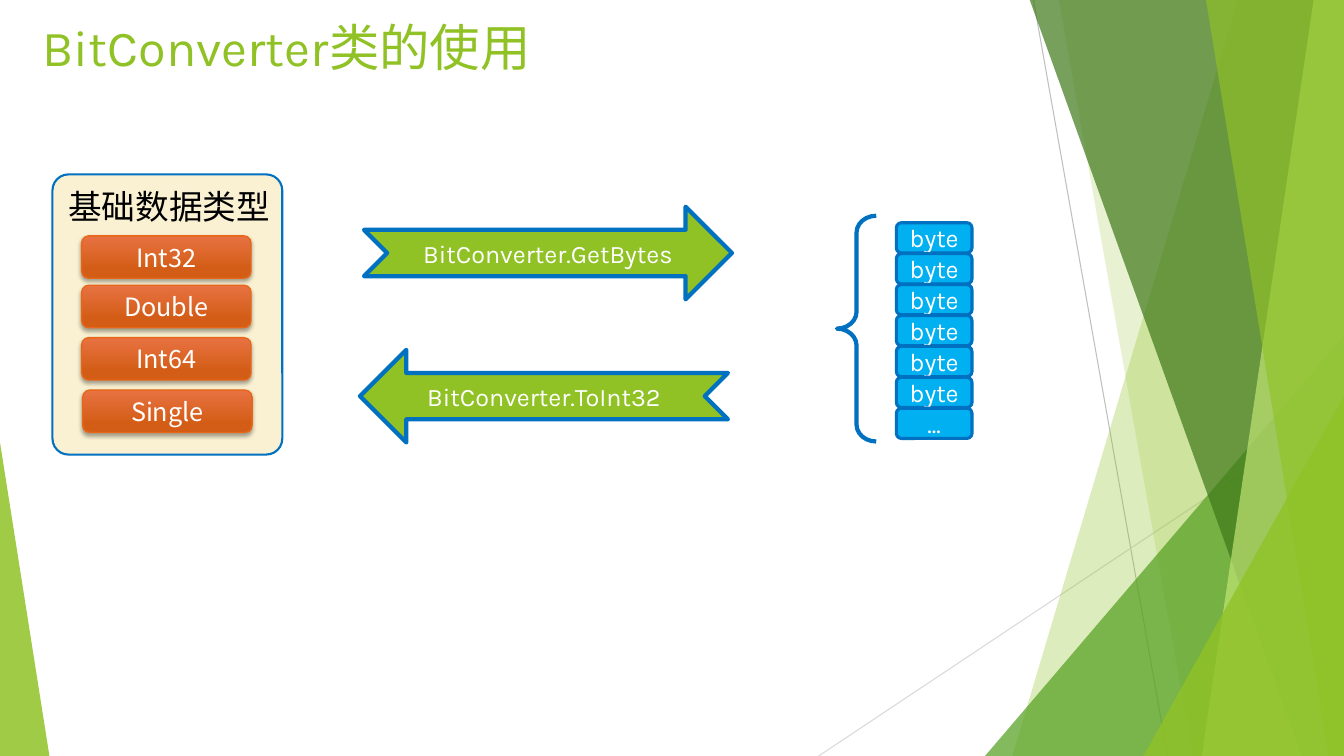
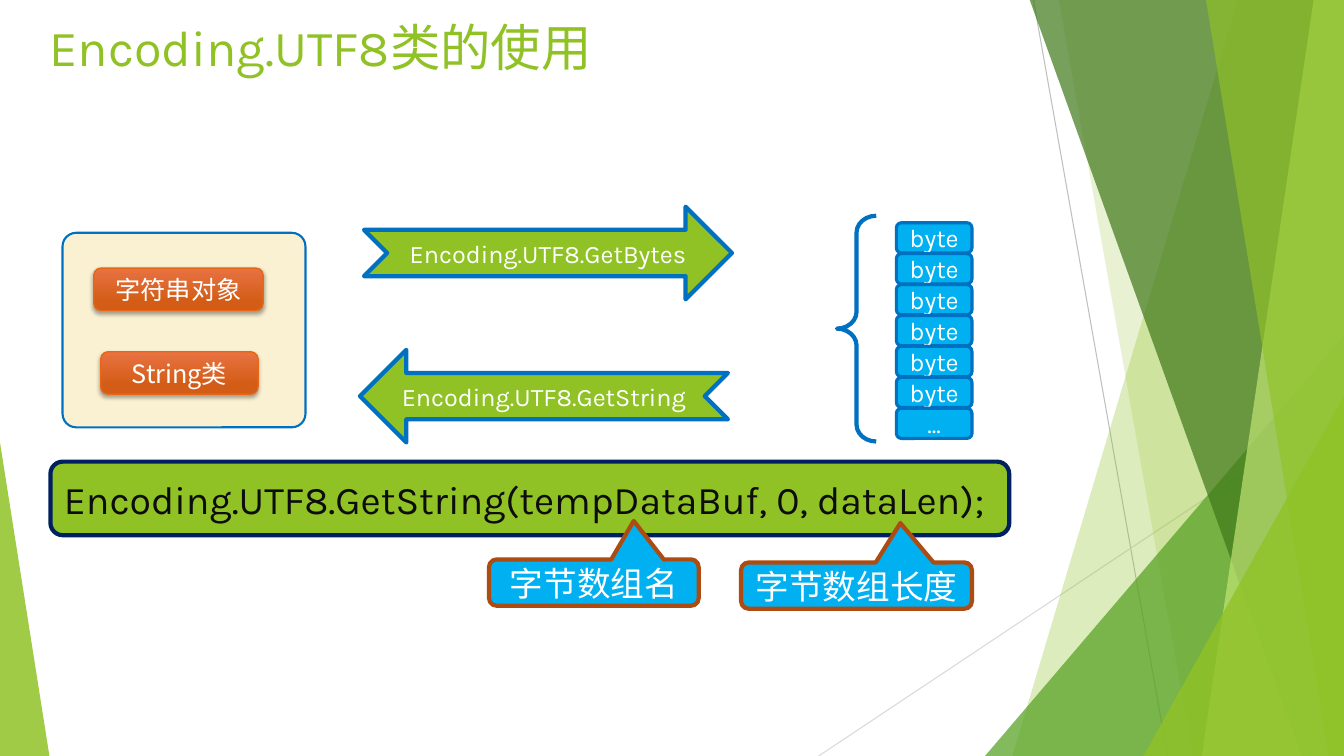
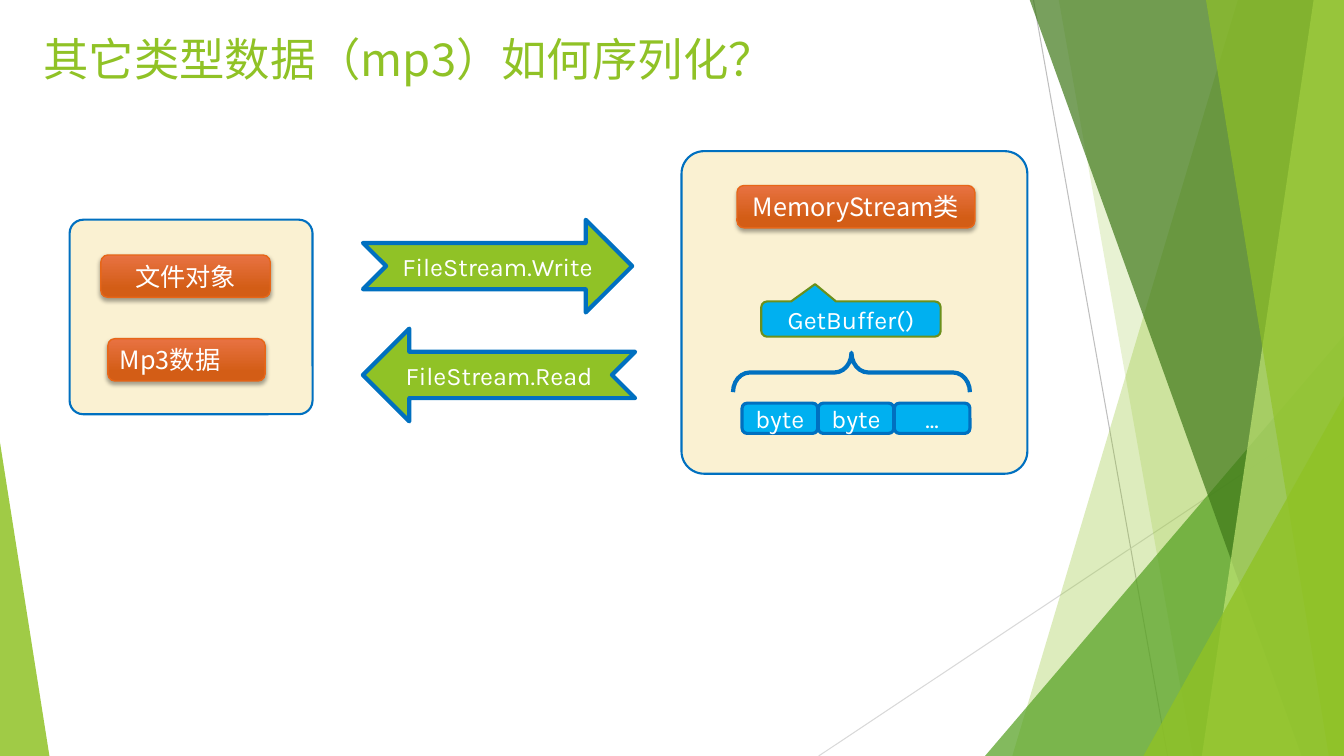
"""Build three slides on turning data types into bytes and back."""
from dataclasses import dataclass
from typing import Optional

from lxml import etree
from pptx import Presentation
from pptx import util as u
from pptx.dml.color import RGBColor
from pptx.enum import shapes as kinds
from pptx.enum import text as t
from pptx.oxml import ns

SHAPE = kinds.MSO_SHAPE
LEFT, CENTER = t.PP_ALIGN.LEFT, t.PP_ALIGN.CENTER


@dataclass(frozen=True)
class Theme:
    green: str = "90C226"
    mid_green: str = "54A021"
    dark_green: str = "3F7819"
    pale_green: str = "C0E474"
    olive: str = "6B901C"
    blue: str = "0070C0"
    sky: str = "00B0F0"
    navy: str = "002060"
    cream: str = "FAF1D2"
    orange_top: str = "E87242"
    orange_bottom: str = "D35D16"
    orange_edge: str = "E76618"
    rust: str = "AD4C12"
    gray: str = "BFBFBF"
    light_gray: str = "D9D9D9"
    white: str = "FFFFFF"
    black: str = "000000"
    ink: str = "0D0D0D"
    latin: str = "Karla"
    chinese: str = "Noto Sans CJK SC"
    title: float = 36
    small_title: float = 32.4
    code: float = 28
    heading: float = 24
    label: float = 18


THEME = Theme()


@dataclass(frozen=True)
class Box:
    left: float
    top: float
    width: float
    height: float

    def lengths(self) -> tuple:
        return tuple(u.Inches(value) for value in (self.left, self.top, self.width, self.height))


@dataclass(frozen=True)
class Style:
    fill: Optional[str]
    line: Optional[str]
    weight: float = 0


@dataclass(frozen=True)
class Label:
    text: str
    size: float = THEME.label
    font: str = THEME.latin
    color: str = THEME.white
    align: t.PP_ALIGN = CENTER


@dataclass(frozen=True)
class Triangle:
    box: Box
    apex: float
    color: str
    opacity: int


@dataclass(frozen=True)
class Band:
    top_left: float
    bottom_left: float
    color: str
    opacity: int


@dataclass(frozen=True)
class Ray:
    start: tuple[float, float]
    end: tuple[float, float]
    color: str


@dataclass(frozen=True)
class Chip:
    text: str
    left: float
    top: float
    width: float = 1.68
    align: t.PP_ALIGN = CENTER


SLIDE = Box(0, 0, 13.33, 7.5)
BACKDROP = (
    Ray((10.25, 0), (11.58, 7.5), THEME.gray),
    Ray((13.33, 4.03), (8.12, 7.5), THEME.light_gray),
    Band(12.28, 10.04, THEME.green, 30),
    Band(10.5, 11.83, THEME.green, 20),
    Triangle(Box(9.77, 3.33, 3.56, 4.17), 1, THEME.mid_green, 72),
    Band(10.21, 12.91, THEME.dark_green, 70),
    Band(13.03, 11.92, THEME.pale_green, 70),
    Band(11.96, 13.18, THEME.green, 65),
    Triangle(Box(11.34, 3.93, 1.99, 3.57), 1, THEME.green, 80),
    Triangle(Box(0, 4.39, 0.49, 3.11), 0, THEME.green, 85),
)
PANEL = Style(THEME.cream, THEME.blue, 1.5)
CELL = Style(THEME.sky, THEME.blue, 2.25)
ARROW = Style(THEME.green, THEME.blue, 3)
BRACE = Style(None, THEME.blue, 3)
CODE = Style(THEME.green, THEME.navy, 3)
NOTE = Style(THEME.sky, THEME.rust, 3)
METHOD = Style(THEME.sky, THEME.olive, 1.5)
CELL_WIDTH, CELL_HEIGHT = 0.75, 0.3


def rgb(color: str) -> RGBColor:
    """Turn a hex string into a colour."""
    return RGBColor.from_string(color)


def add_child(parent, tag: str, **attributes):
    """Append a drawing element to an XML parent."""
    return etree.SubElement(parent, ns.qn(tag), attributes)


def write(frame, label: Label) -> None:
    """Put a label in a text frame and format it."""
    frame.text = label.text
    para = frame.paragraphs[0]
    para.alignment = label.align
    for span in para.runs:
        span.font.size = u.Pt(label.size)
        span.font.color.rgb = rgb(label.color)
        span.font.name = label.font
        add_child(span.font._element, "a:ea", typeface=THEME.chinese)


def paint(shape, style: Style) -> None:
    """Set the fill and outline of a shape and drop its shadow."""
    shape.shadow.inherit = False
    if style.fill:
        shape.fill.solid()
        shape.fill.fore_color.rgb = rgb(style.fill)
    else:
        shape.fill.background()
    if style.line:
        shape.line.color.rgb = rgb(style.line)
        shape.line.width = u.Pt(style.weight)
    else:
        shape.line.fill.background()


def add_figure(page, kind: SHAPE, box: Box, style: Style, label: Optional[Label] = None,
               adjust: tuple = (), flip: bool = False):
    """Add a styled preset shape with an optional label."""
    shape = page.shapes.add_shape(kind, *box.lengths())
    paint(shape, style)
    for index, value in enumerate(adjust):
        shape.adjustments[index] = value
    if flip:
        shape.element.spPr.get_or_add_xfrm().set("flipH", "1")
    if label:
        write(shape.text_frame, label)
    return shape


def add_ray(page, ray: Ray):
    """Add a thin backdrop line."""
    points = (u.Inches(value) for value in (*ray.start, *ray.end))
    line = page.shapes.add_connector(kinds.MSO_CONNECTOR.STRAIGHT, *points)
    line.line.color.rgb = rgb(ray.color)
    line.line.width = u.Pt(0.75)
    add_child(line.element.spPr, "a:effectLst")
    return line


def add_facet(page, facet: Band | Triangle):
    """Add a see-through backdrop facet."""
    style = Style(facet.color, None)
    if isinstance(facet, Triangle):
        shape = add_figure(page, SHAPE.ISOSCELES_TRIANGLE, facet.box, style, adjust=(facet.apex,))
    else:
        top, right, bottom = -0.01, SLIDE.width, SLIDE.height
        corners = [(facet.top_left, top), (right, top), (right, bottom), (facet.bottom_left, bottom)]
        points = [(u.Inches(x), u.Inches(y)) for x, y in corners]
        builder = page.shapes.build_freeform(*points[0])
        builder.add_line_segments(points[1:], close=True)
        shape = builder.convert_to_shape()
        paint(shape, style)
    color = shape.element.spPr.find(".//" + ns.qn("a:srgbClr"))
    add_child(color, "a:alpha", val=str(facet.opacity * 1000))
    return shape


def move_backdrop_to_layout(page) -> None:
    """Draw the backdrop once and hand it to the layout all slides share."""
    layout = page.slide_layout
    for holder in list(layout.placeholders):
        if holder.placeholder_format.type != kinds.PP_PLACEHOLDER.TITLE:
            layout.shapes.element.remove(holder.element)
    drawn = [add_ray(page, part) if isinstance(part, Ray) else add_facet(page, part)
             for part in BACKDROP]
    for shape in drawn:
        layout.shapes.element.append(shape.element)


def set_title(page, box: Box, label: Label) -> None:
    """Place and format the slide title."""
    title = page.shapes.title
    title.left, title.top, title.width, title.height = box.lengths()
    frame = title.text_frame
    frame.auto_size = t.MSO_AUTO_SIZE.NONE
    frame.vertical_anchor = t.MSO_ANCHOR.TOP
    write(frame, label)
    para = frame.paragraphs[0]
    para.line_spacing = 0.9
    para._p.get_or_add_pPr().set("hangingPunct", "1")


def add_panel(page, box: Box) -> None:
    """Add a cream rounded panel."""
    add_figure(page, SHAPE.ROUNDED_RECTANGLE, box, PANEL, adjust=(0.07,))


def add_chip(page, chip: Chip) -> None:
    """Add an orange gradient chip with a soft shadow."""
    box = Box(chip.left, chip.top, chip.width, 0.42)
    label = Label(chip.text, font=THEME.chinese, align=chip.align)
    style = Style(THEME.orange_top, THEME.orange_edge, 1)
    shape = add_figure(page, SHAPE.ROUNDED_RECTANGLE, box, style, label)
    shape.fill.gradient()
    shape.fill.gradient_angle = 270
    stops = ((0, THEME.orange_top), (0.78, THEME.orange_bottom))
    for stop, (position, color) in zip(shape.fill.gradient_stops, stops):
        stop.position = position
        stop.color.rgb = rgb(color)
    effects = shape.element.spPr.find(ns.qn("a:effectLst"))
    shadow = add_child(effects, "a:outerShdw", blurRad=str(u.Pt(3)), dist=str(u.Pt(2)),
                       dir="5400000", rotWithShape="0")
    add_child(add_child(shadow, "a:srgbClr", val=THEME.black), "a:alpha", val="35000")


def add_arrow(page, box: Box, text: str, flip: bool = False) -> None:
    """Add a labelled notched arrow, pointing left when flipped."""
    add_figure(page, SHAPE.NOTCHED_RIGHT_ARROW, box, ARROW, Label(text), flip=flip)


def add_brace(page, box: Box, rotation: float) -> None:
    """Add a turned curly brace."""
    brace = add_figure(page, SHAPE.RIGHT_BRACE, box, BRACE, adjust=(0.43, 0.5))
    brace.rotation = rotation


def add_cells(page, count: int, left: float, top: float, step_x: float, step_y: float) -> None:
    """Add a run of byte cells ending in dots."""
    for index in range(count):
        box = Box(left + index * step_x, top + index * step_y, CELL_WIDTH, CELL_HEIGHT)
        text = "byte" if index < count - 1 else "..."
        add_figure(page, SHAPE.ROUNDED_RECTANGLE, box, CELL, Label(text))


def add_byte_exchange(page, forward: str, back: str) -> None:
    """Add both conversion arrows with the braced byte column."""
    add_brace(page, Box(8.3, 2.14, 0.39, 2.24), 180)
    add_arrow(page, Box(3.61, 2.05, 3.65, 0.92), forward)
    add_arrow(page, Box(3.57, 3.47, 3.65, 0.92), back, flip=True)
    add_cells(page, 7, 8.89, 2.21, 0, (4.05 - 2.21) / 6)


def build_bit_converter(page) -> None:
    """Fill the slide on basic data types."""
    set_title(page, Box(0.32, 0.18, 5.43, 0.81),
              Label("BitConverter类的使用", THEME.title, color=THEME.green, align=LEFT))
    add_byte_exchange(page, "BitConverter.GetBytes", "BitConverter.ToInt32")
    add_panel(page, Box(0.52, 1.73, 2.28, 2.78))
    heading = page.shapes.add_textbox(*Box(0.58, 1.8, 2.22, 0.5).lengths())
    heading.text_frame.word_wrap = False
    write(heading.text_frame,
          Label("基础数据类型", THEME.heading, THEME.chinese, THEME.black, LEFT))
    for chip in (Chip("Int32", 0.81, 2.34), Chip("Double", 0.81, 2.83),
                 Chip("Int64", 0.81, 3.35), Chip("Single", 0.82, 3.87)):
        add_chip(page, chip)


def build_encoding(page) -> None:
    """Fill the slide on strings."""
    set_title(page, Box(0.32, 0.18, 5.72, 0.81),
              Label("Encoding.UTF8类的使用", THEME.title, color=THEME.green))
    add_panel(page, Box(0.62, 2.31, 2.41, 1.93))
    for chip in (Chip("字符串对象", 0.93, 2.66), Chip("String类", 1, 3.49, 1.56)):
        add_chip(page, chip)
    add_byte_exchange(page, "Encoding.UTF8.GetBytes", "Encoding.UTF8.GetString")
    add_figure(page, SHAPE.ROUNDED_RECTANGLE, Box(0.5, 4.58, 9.51, 0.73), CODE,
               Label("Encoding.UTF8.GetString(tempDataBuf, 0, dataLen);",
                     THEME.code, color=THEME.ink, align=LEFT))
    notes = (("字节数组名", Box(4.85, 5.55, 2.08, 0.46), (-0.19, -1.33)),
             ("字节数组长度", Box(7.35, 5.58, 2.29, 0.46), (-0.19, -1.35)))
    for text, box, tip in notes:
        add_figure(page, SHAPE.ROUNDED_RECTANGULAR_CALLOUT, box, NOTE,
                   Label(text, THEME.heading, THEME.chinese), tip, flip=True)


def build_file_stream(page) -> None:
    """Fill the slide on other data such as mp3."""
    set_title(page, Box(0.33, 0.32, 7.4, 0.81),
              Label("其它类型数据（mp3）如何序列化？", THEME.small_title, THEME.chinese,
                    THEME.green, LEFT))
    add_panel(page, Box(0.69, 2.18, 2.41, 1.93))
    add_panel(page, Box(6.76, 1.5, 3.43, 3.2))
    for chip in (Chip("文件对象", 1, 2.53), Chip("MemoryStream类", 7.31, 1.84, 2.36),
                 Chip("Mp3数据", 1.07, 3.36, 1.56, LEFT)):
        add_chip(page, chip)
    add_cells(page, 3, 7.36, 4, (8.87 - 7.36) / 2, 0)
    add_figure(page, SHAPE.ROUNDED_RECTANGULAR_CALLOUT, Box(7.55, 2.99, 1.78, 0.35), METHOD,
               Label("GetBuffer()"), (-0.2, -0.99))
    add_brace(page, Box(8.25, 2.52, 0.39, 2.35), 270)
    add_arrow(page, Box(3.6, 2.18, 2.67, 0.92), "FileStream.Write")
    add_arrow(page, Box(3.6, 3.26, 2.7, 0.92), "FileStream.Read", flip=True)


def main() -> None:
    """Build and save the deck."""
    deck = Presentation()
    deck.slide_width, deck.slide_height = u.Inches(SLIDE.width), u.Inches(SLIDE.height)
    layout = deck.slide_layouts.get_by_name("Title Only")
    builders = (build_bit_converter, build_encoding, build_file_stream)
    pages = [deck.slides.add_slide(layout) for _ in builders]
    move_backdrop_to_layout(pages[0])
    for build, page in zip(builders, pages):
        build(page)
    deck.save("out.pptx")


if __name__ == "__main__":
    main()
